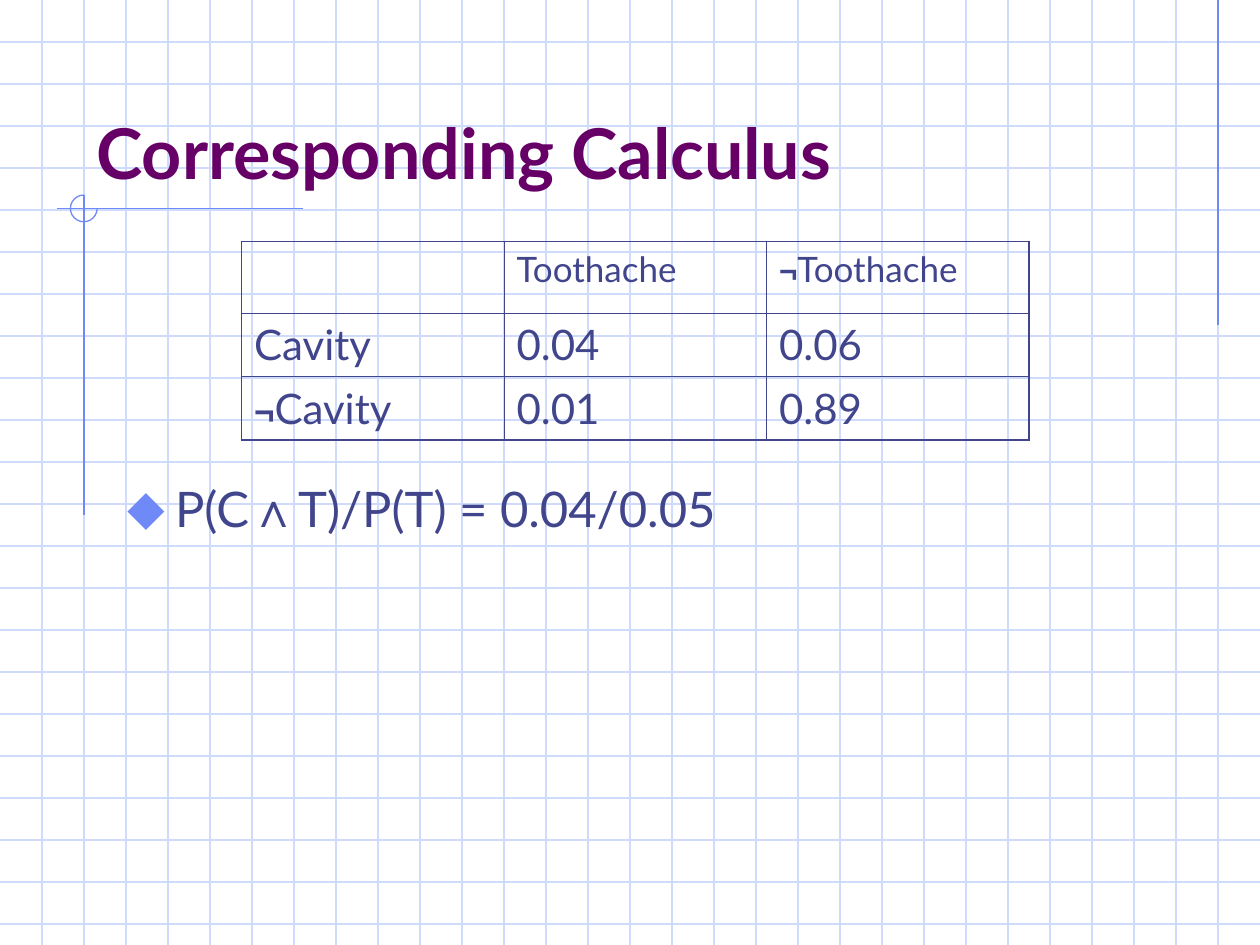
from lxml import etree
from pptx import Presentation
from pptx.dml.color import RGBColor
from pptx.enum.shapes import MSO_CONNECTOR, MSO_SHAPE
from pptx.enum.text import MSO_ANCHOR
from pptx.oxml.ns import qn
from pptx.util import Pt

STRAIGHT = MSO_CONNECTOR.STRAIGHT
ARC = MSO_SHAPE.ARC
TOP, BOTTOM = MSO_ANCHOR.TOP, MSO_ANCHOR.BOTTOM

THEME = {
    "font": "Lato", "math": "Arial",
    "title": "660066", "ink": "40458C", "accent": "6F89F7", "grid": "CFDBFD",
    "title_size": 40, "body_size": 28, "head_size": 20, "cell_size": 24,
    "line": 0.75, "outer": 1.08, "inner": 0.45,
}

# Content: a run is plain text, or (symbol, size) set in the math font
TITLE = ["Corresponding Calculus"]
RULE = ["P(C", ("∧", 28), "T)/P(T) = 0.04/0.05"]
TABLE = [
    [[], ["Toothache"], [("¬", 18), "Toothache"]],
    [["Cavity"], ["0.04"], ["0.06"]],
    [[("¬", 20), "Cavity"], ["0.01"], ["0.89"]],
]

# Layout in points
WIDTH, HEIGHT, STEP = 720, 540, 24
TITLE_BOX = (48, 24, 612, 90)
RULE_BOX = (66, 270, 612, 204)
TABLE_AT = (138, 138)
COL, ROWS = 150, (41, 36.25, 36.25)
ACCENTS = [(696, 0, 696, 186), (173, 119, 32.5, 119), (48, 111.5, 48, 294.5)]
RING = (40.25, 111.5, 15.25, 15.25)


def put_text(frame, runs, size, color=THEME["ink"], bold=False, before=0, anchor=TOP):
    frame.word_wrap = True
    frame.vertical_anchor = anchor
    para = frame.paragraphs[0]
    para.space_before = Pt(before)
    for item in runs:
        symbol = isinstance(item, tuple)
        words, points = item if symbol else (item, size)
        run = para.add_run()
        run.text = words
        font = run.font
        font.name = THEME["math"] if symbol else THEME["font"]
        font.size = Pt(points)
        font.bold = bold or symbol
        font.color.rgb = RGBColor.from_string(color)
    return para


def add_line(slide, ends, color):
    line = slide.shapes.add_connector(STRAIGHT, *map(Pt, ends))
    line.line.color.rgb = RGBColor.from_string(color)
    line.line.width = Pt(THEME["line"])
    etree.SubElement(line._element.spPr, qn("a:effectLst"))


def add_box(slide, box):
    return slide.shapes.add_textbox(*map(Pt, box)).text_frame


def add_bullet(para):
    props = para._p.get_or_add_pPr()
    props.set("marL", str(Pt(27)))
    props.set("indent", str(Pt(-27)))
    color = etree.SubElement(props, qn("a:buClr"))
    etree.SubElement(color, qn("a:srgbClr"), val=THEME["accent"])
    etree.SubElement(props, qn("a:buSzPct"), val="110000")
    etree.SubElement(props, qn("a:buFont"), typeface=THEME["math"])
    etree.SubElement(props, qn("a:buChar"), char="⬥")


def add_edges(cell, outer):
    props = cell._tc.get_or_add_tcPr()
    for side in "LRTB":
        width = THEME["outer" if side in outer else "inner"]
        edge = etree.SubElement(props, qn("a:ln" + side), w=str(Pt(width)))
        fill = etree.SubElement(edge, qn("a:solidFill"))
        etree.SubElement(fill, qn("a:srgbClr"), val=THEME["ink"])


def add_table(slide):
    rows, cols = len(TABLE), len(TABLE[0])
    size = (COL * cols, sum(ROWS))
    table = slide.shapes.add_table(rows, cols, *map(Pt, TABLE_AT + size)).table
    table.first_row = table.horz_banding = False
    for col in table.columns:
        col.width = Pt(COL)
    for r, line in enumerate(TABLE):
        table.rows[r].height = Pt(ROWS[r])
        points, before = (THEME["cell_size"], 6) if r else (THEME["head_size"], 5)
        for c, runs in enumerate(line):
            cell = table.cell(r, c)
            put_text(cell.text_frame, runs, points, before=before)
            tests = {"L": c == 0, "R": c == cols - 1, "T": r == 0, "B": r == rows - 1}
            add_edges(cell, [side for side, hit in tests.items() if hit])
            cell.fill.background()


def main():
    deck = Presentation()
    deck.slide_width, deck.slide_height = Pt(WIDTH), Pt(HEIGHT)
    slide = deck.slides.add_slide(deck.slide_layouts[6])

    # Graph paper
    for y in range(STEP, HEIGHT, STEP):
        add_line(slide, (0, y, WIDTH, y), THEME["grid"])
    for x in range(STEP, WIDTH, STEP):
        add_line(slide, (x, 0, x, HEIGHT), THEME["grid"])

    # Accent lines and open ring
    for ends in ACCENTS:
        add_line(slide, ends, THEME["accent"])
    ring = slide.shapes.add_shape(ARC, *map(Pt, RING))
    ring.adjustments[0], ring.adjustments[1] = 0, 162  # 0 to 270 degrees
    ring.shadow.inherit = False
    ring.fill.background()
    ring.line.color.rgb = RGBColor.from_string(THEME["accent"])
    ring.line.width = Pt(THEME["line"])

    # Title, rule and table
    put_text(add_box(slide, TITLE_BOX), TITLE, THEME["title_size"],
             color=THEME["title"], bold=True, anchor=BOTTOM)
    add_bullet(put_text(add_box(slide, RULE_BOX), RULE, THEME["body_size"], before=7))
    add_table(slide)
    deck.save("out.pptx")


if __name__ == "__main__":
    main()
